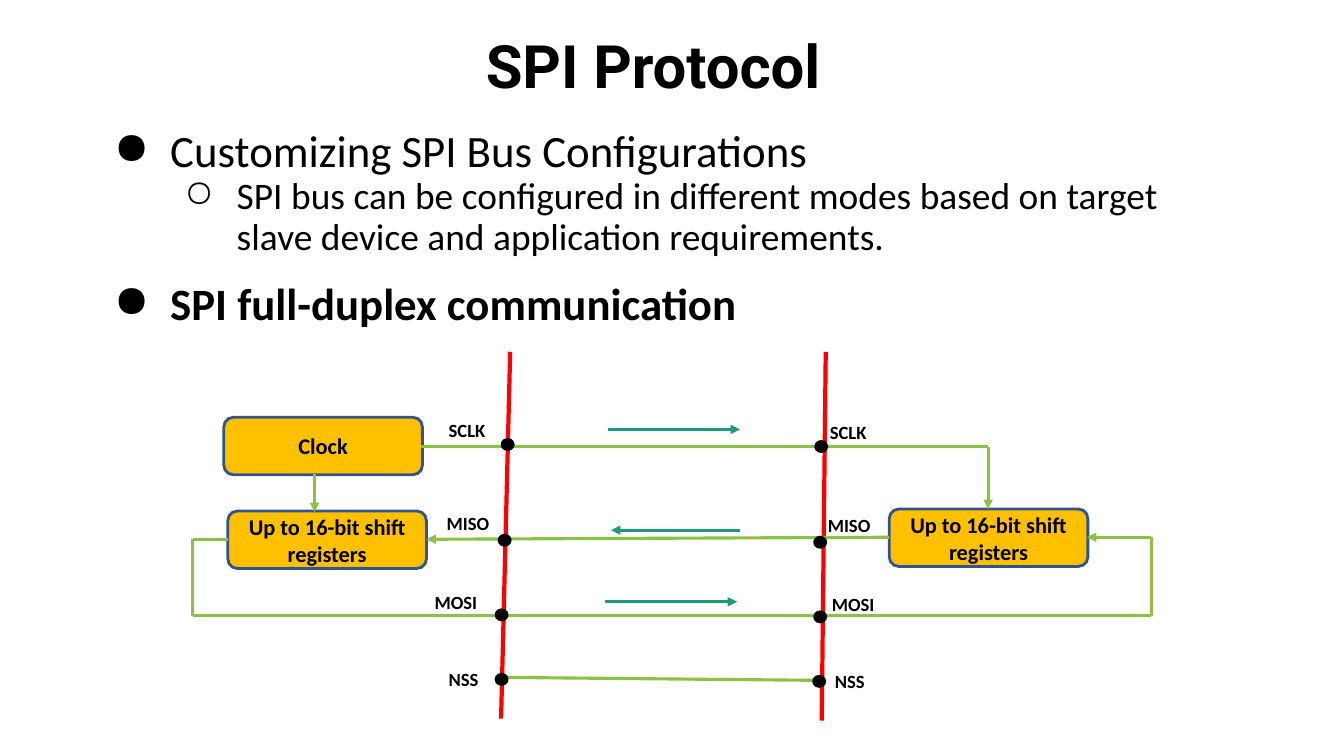
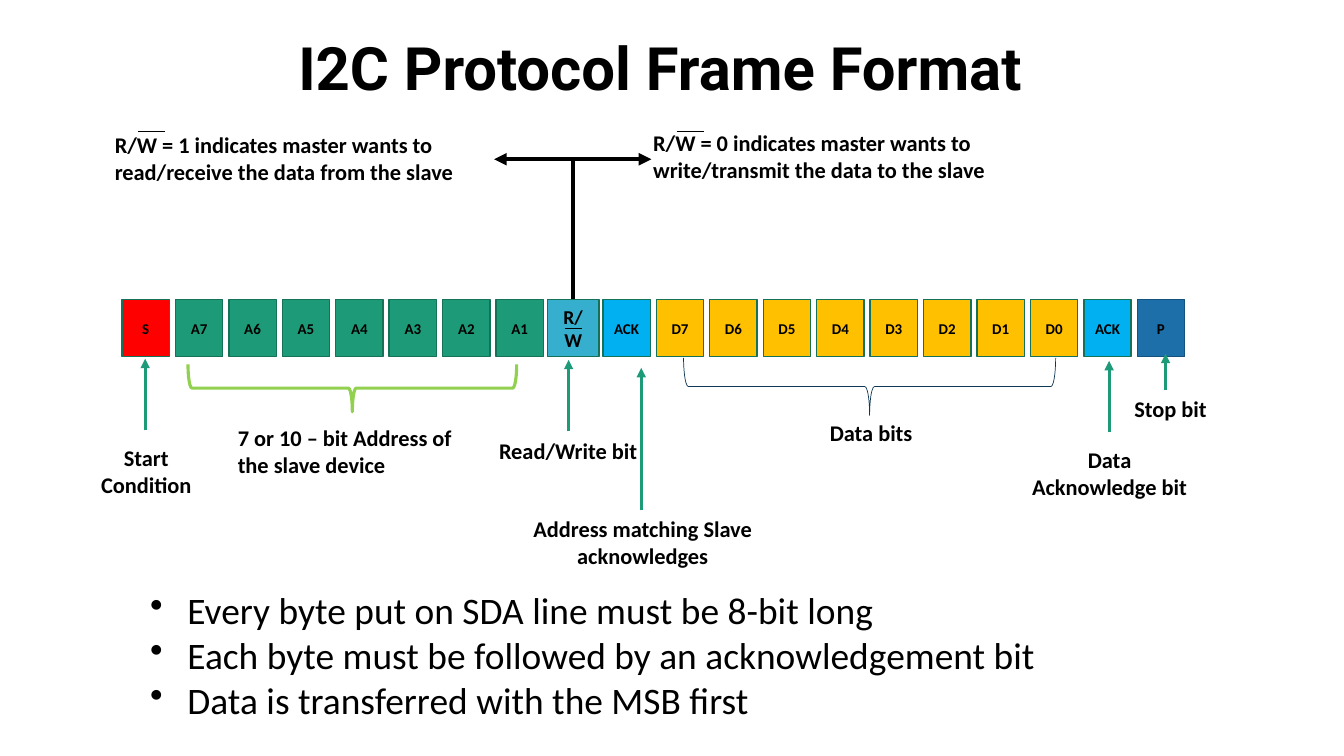
"""Build two slides on the SPI and I2C serial protocols."""
import dataclasses
import lxml.etree
import pptx
import pptx.dml.color
import pptx.enum.shapes
import pptx.enum.text
import pptx.oxml.ns
import pptx.util


@dataclasses.dataclass(frozen=True)
class Theme:
    head: str = "Roboto"
    face: str = "Calibri"
    ink: str = "000000"
    red: str = "FF0000"
    gold: str = "FFC000"
    navy: str = "31538F"
    lime: str = "8BC145"
    teal: str = "1D9A78"
    pine: str = "157259"
    aqua: str = "36AFCE"
    sky: str = "00B0F0"
    blue: str = "1D6FA9"
    steel: str = "15527D"
    grass: str = "92D050"
    dusk: str = "0F3754"
    title: float = 42.7
    big: float = 32
    list: float = 26.7
    note: float = 16
    bit: float = 14
    label: float = 13.3
    cell: float = 10.7


PX = 9144
T = Theme()
RGB = pptx.dml.color.RGBColor.from_string
SHAPE = pptx.enum.shapes.MSO_SHAPE
ALIGN = pptx.enum.text.PP_ALIGN
ANCHOR = pptx.enum.text.MSO_ANCHOR
CENTER, LEFT = ALIGN.CENTER, ALIGN.LEFT
qn = pptx.oxml.ns.qn


def put(page, kind, box, text="", size=T.note, align=CENTER, bold=True,
        face=T.face, fill=None, edge=None, thick=1, pad=(10, 5)):
    """Place a text box, or a preset shape when kind is given."""
    spot = [n * PX for n in box]
    if kind is None:
        item = page.shapes.add_textbox(*spot)
    else:
        item = page.shapes.add_shape(kind, *spot)
        item.shadow.inherit = False
        item.line.color.rgb = RGB(edge)
        item.line.width = pptx.util.Pt(thick)
        if fill:
            item.fill.solid()
            item.fill.fore_color.rgb = RGB(fill)
        else:
            item.fill.background()
    frame = item.text_frame
    frame.word_wrap = True
    frame.margin_left = frame.margin_right = pad[0] * PX
    frame.margin_top = frame.margin_bottom = pad[1] * PX
    frame.vertical_anchor = ANCHOR.MIDDLE if kind else ANCHOR.TOP
    frame.text = text
    for para in frame.paragraphs:
        para.alignment = align
        for run in para.runs:
            run.font.name = face
            run.font.size = pptx.util.Pt(size)
            run.font.bold = bold
            run.font.color.rgb = RGB(T.ink)
    return item


def wire(page, points, color, thick=2.25, ends=("tailEnd",)):
    """Join points by straight lines, with arrowheads on the last one."""
    for a, b in zip(points, points[1:]):
        line = page.shapes.add_connector(
            pptx.enum.shapes.MSO_CONNECTOR.STRAIGHT,
            *[n * PX for n in a + b])
        line.line.color.rgb = RGB(color)
        line.line.width = pptx.util.Pt(thick)
        props = line.element.spPr
        lxml.etree.SubElement(props, qn("a:effectLst"))
        if b == points[-1]:
            for end in ends:
                lxml.etree.SubElement(
                    props.find(qn("a:ln")), qn("a:" + end), type="triangle")


deck = pptx.Presentation()
deck.slide_width, deck.slide_height = 1333 * PX, 750 * PX
pages = []
for text, left, top, width in (
        ("SPI Protocol", 73, 24, 1150),
        ("I2C Protocol Frame Format", 117, 26, 1076)):
    page = deck.slides.add_slide(deck.slide_layouts[6])
    put(page, None, (left, top, width, 82), text, T.title, face=T.head)
    pages.append(page)
spi, frame = pages

modes = put(spi, None, (92, 123, 1150, 252), "\n".join((
    "Customizing SPI Bus Configurations",
    "SPI bus can be configured in different modes based on target slave "
    "device and application requirements.",
    "SPI full-duplex communication")), T.big, LEFT, False)
top, sub, last = modes.text_frame.paragraphs
rules = put(frame, None, (139, 578, 1180, 145), "\n".join((
    "Every byte put on SDA line must be 8-bit long",
    "Each byte must be followed by an acknowledgement bit",
    "Data is transferred with the MSB first")), T.list, LEFT, False)
points = [(top, 67, 56, "●"), (sub, 133, 52, "○"), (last, 67, 56, "●")]
points += [(para, 37, 37, "•") for para in rules.text_frame.paragraphs]
for para, left, hang, mark in points:
    props = para._p.get_or_add_pPr()
    props.set("marL", str(left * PX))
    props.set("indent", str(-hang * PX))
    lxml.etree.SubElement(props, qn("a:buChar"), char=mark)
for para in (top, sub, last):
    para.line_spacing = 0.9
sub.level = 1
sub.runs[0].font.size = pptx.util.Pt(T.list)
last.space_before = pptx.util.Pt(17)
last.runs[0].font.bold = True

for ends in ([(819, 349), (815, 715)], [(506, 349), (497, 713)]):
    wire(spi, ends, T.red, 3, ())
wire(spi, [(495, 672), (817, 675)], T.lime, ends=())
for left, y, text in (
        (222, 414, "Clock"),
        (882, 505, "Up to 16-bit shift registers"),
        (226, 507, "Up to 16-bit shift registers")):
    put(spi, SHAPE.ROUNDED_RECTANGLE, (left, y, 197, 57), text,
        fill=T.gold, edge=T.navy, thick=2, pad=(13, 7))
for path in (
        [(1142, 611), (1142, 533), (1078, 533)],
        [(882, 533), (423, 535)],
        [(418, 443), (980, 443), (980, 505)],
        [(312, 470), (312, 508)]):
    wire(spi, path, T.lime)
wire(spi, [(226, 535), (191, 535), (191, 611), (1142, 611)], T.lime, ends=())
for start, stop, y in ((603, 734, 426), (734, 606, 526), (600, 731, 597)):
    wire(spi, [(start, y), (stop, y)], T.teal)
for name, y, dot, sides in (
        ("SCLK", 409, 436, ((432, 498), (810, 809))),
        ("MISO", 501, 531, ((430, 495), (808, 808))),
        ("MOSI", 579, 605, ((418, 492), (812, 808))),
        ("NSS", 656, 669, ((432, 492), (815, 807)))):
    for drop, (left, x) in zip((0, 2), sides):
        put(spi, None, (left, y + drop, 92, 36), name, T.label, LEFT,
            pad=(13, 7))
        put(spi, SHAPE.FLOWCHART_CONNECTOR, (x, dot + drop, 11, 10),
            fill=T.ink, edge=T.ink, thick=2)

cells = [("S", T.red)]
cells += [(f"A{n}", T.teal) for n in range(7, 0, -1)]
cells += [("R/W", T.aqua), ("ACK", T.sky)]
cells += [(f"D{n}", T.gold) for n in range(7, -1, -1)]
cells += [("ACK", T.sky), ("P", T.blue)]
for i, (text, fill) in enumerate(cells):
    wide, size = (51, T.bit) if text == "R/W" else (47, T.cell)
    put(frame, SHAPE.RECTANGLE,
        (121 + 53 * i - (wide - 47) // 2, 297, wide, 57), text, size,
        fill=fill, edge=T.steel if text == "P" else T.pine)

for left, right, y in ((560, 577, 326), (671, 698, 130), (137, 164, 130)):
    wire(frame, [(left, y), (right, y)], T.ink, 0.5, ())
wire(frame, [(568, 297), (568, 158)], T.ink, 3, ())
wire(frame, [(490, 158), (646, 158)], T.ink, 3, ("headEnd", "tailEnd"))
for x, low, high in ((144, 427, 356), (564, 428, 357), (1100, 429, 358),
                     (1156, 387, 351), (636, 506, 365)):
    wire(frame, [(x, low), (x, high)], T.teal)
for box, edge, thick in (((326, 222, 47, 326), T.grass, 2.25),
                         ((834, 199, 57, 369), T.dusk, 0.5)):
    brace = put(frame, SHAPE.LEFT_BRACE, box, edge=edge, thick=thick)
    brace.rotation = 270
for left, y, width, align, text in (
        (638, 123, 430, LEFT,
         "R/W = 0 indicates master wants to write/transmit the data "
         "to the slave"),
        (104, 125, 430, LEFT,
         "R/W = 1 indicates master wants to read/receive the data "
         "from the slave"),
        (79, 436, 132, CENTER, "Start Condition"),
        (226, 416, 252, LEFT, "7 or 10 – bit Address of the slave device"),
        (485, 429, 157, CENTER, "Read/Write bit"),
        (1011, 438, 179, CENTER, "Data Acknowledge bit"),
        (1087, 387, 148, CENTER, "Stop bit"),
        (514, 506, 247, CENTER, "Address matching Slave acknowledges"),
        (790, 411, 148, CENTER, "Data bits")):
    put(frame, None, (left, y, width, 64), text, align=align)

deck.save("out.pptx")
